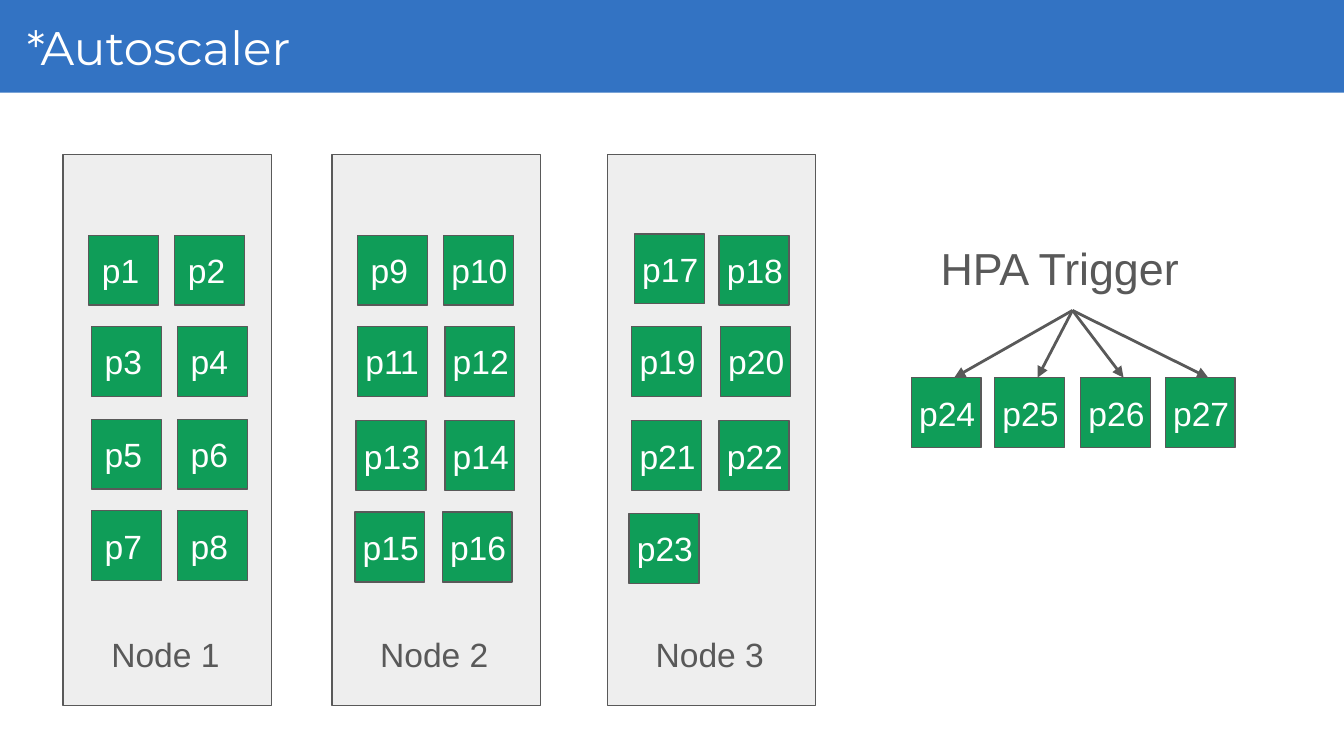
"""Build the autoscaler slide: three nodes filled with pods and an HPA trigger adding four more."""
from lxml import etree
from pptx import Presentation
from pptx.dml.color import RGBColor
from pptx.enum.shapes import MSO_CONNECTOR, MSO_SHAPE
from pptx.enum.text import MSO_ANCHOR, PP_ALIGN
from pptx.oxml.ns import qn
from pptx.util import Emu, Pt

RECTANGLE = MSO_SHAPE.RECTANGLE
STRAIGHT = MSO_CONNECTOR.STRAIGHT
MIDDLE = MSO_ANCHOR.MIDDLE
LEFT = PP_ALIGN.LEFT

EMU_PER_PX = 9144
BLUE, GREEN, GREY, PALE, WHITE = "0051B5", "0F9D58", "595959", "EEEEEE", "FFFFFF"

TITLE = "*Autoscaler"
TRIGGER = "HPA Trigger"
NODES = [
    ("Node 1", 47, [(66, 175), (130, 175), (68, 243), (132, 243),
                    (68, 312), (132, 312), (68, 380), (132, 380)]),
    ("Node 2", 247, [(266, 175), (330, 175), (266, 243), (331, 243),
                     (265, 313), (331, 313), (264, 381), (329, 381)]),
    ("Node 3", 452, [(472, 174), (535, 175), (470, 243), (536, 243),
                     (470, 313), (535, 313), (468, 382)]),
]
NEW_PODS = [(678, 281), (740, 281), (804, 281), (867, 281)]
NODE_TOP, NODE_WIDTH, NODE_HEIGHT = 115, 155, 410
POD_SIZE, WIDE_LABEL, LABEL_SHIFT = 52, 72, 4
ARROW_START = (798, 231)


def px(value):
    return Emu(round(value * EMU_PER_PX))


def color(value):
    return RGBColor.from_string(value)


def set_text(shape, text, size, text_color, font="Arial"):
    frame = shape.text_frame
    frame.text = text
    frame.word_wrap = True
    frame.vertical_anchor = MIDDLE
    frame.margin_left = frame.margin_right = px(10)
    frame.margin_top = frame.margin_bottom = px(10)
    paragraph = frame.paragraphs[0]
    paragraph.alignment = LEFT
    run_font = paragraph.runs[0].font
    run_font.name = font
    run_font.size = Pt(size)
    run_font.color.rgb = color(text_color)


def add_label(slide, text, box, size, text_color):
    label = slide.shapes.add_textbox(*map(px, box))
    set_text(label, text, size, text_color)


def add_box(slide, box, fill, line=None):
    shape = slide.shapes.add_shape(RECTANGLE, *map(px, box))
    shape.shadow.inherit = False
    shape.fill.solid()
    shape.fill.fore_color.rgb = color(fill)
    if line:
        shape.line.color.rgb = color(line)
        shape.line.width = Pt(0.75)
    else:
        shape.line.fill.background()
    return shape


def add_header(slide):
    header = add_box(slide, (0, 0, 1000, 69), BLUE)
    fill_color = header._element.spPr.find(qn("a:solidFill"))[0]
    etree.SubElement(fill_color, qn("a:alpha"), val="80000")
    title = slide.shapes.title
    title.left, title.top, title.width, title.height = map(px, (10, 3, 841, 63))
    set_text(title, TITLE, 25.2, WHITE, "Montserrat")
    slide.shapes._spTree.append(title._element)


def add_pod(slide, number, left, top):
    add_box(slide, (left, top, POD_SIZE, POD_SIZE), GREEN, GREY)
    shift, width = (LABEL_SHIFT, WIDE_LABEL) if number > 9 else (0, POD_SIZE)
    add_label(slide, f"p{number}", (left - shift, top, width, POD_SIZE), 18, WHITE)


def add_arrow(slide, start, end):
    arrow = slide.shapes.add_connector(STRAIGHT, *map(px, start + end))
    arrow.line.color.rgb = color(GREY)
    arrow.line.width = Pt(1.5)
    etree.SubElement(arrow.line._get_or_add_ln(), qn("a:tailEnd"), type="triangle")
    etree.SubElement(arrow._element.spPr, qn("a:effectLst"))


def main():
    presentation = Presentation()
    presentation.slide_width, presentation.slide_height = px(1000), px(562.5)
    slide = presentation.slides.add_slide(presentation.slide_layouts[5])
    add_header(slide)

    number = 0
    for name, left, pods in NODES:
        add_box(slide, (left, NODE_TOP, NODE_WIDTH, NODE_HEIGHT), PALE, GREY)
        add_label(slide, name, (left + 26, 461, 108, 52), 18, GREY)
        for number, position in enumerate(pods, number + 1):
            add_pod(slide, number, *position)

    add_label(slide, TRIGGER, (690, 168, 217, 63), 24, GREY)
    for number, position in enumerate(NEW_PODS, number + 1):
        add_pod(slide, number, *position)
    for left, top in NEW_PODS:
        add_arrow(slide, ARROW_START, (left - LABEL_SHIFT + WIDE_LABEL // 2, top))

    presentation.save("out.pptx")


if __name__ == "__main__":
    main()
